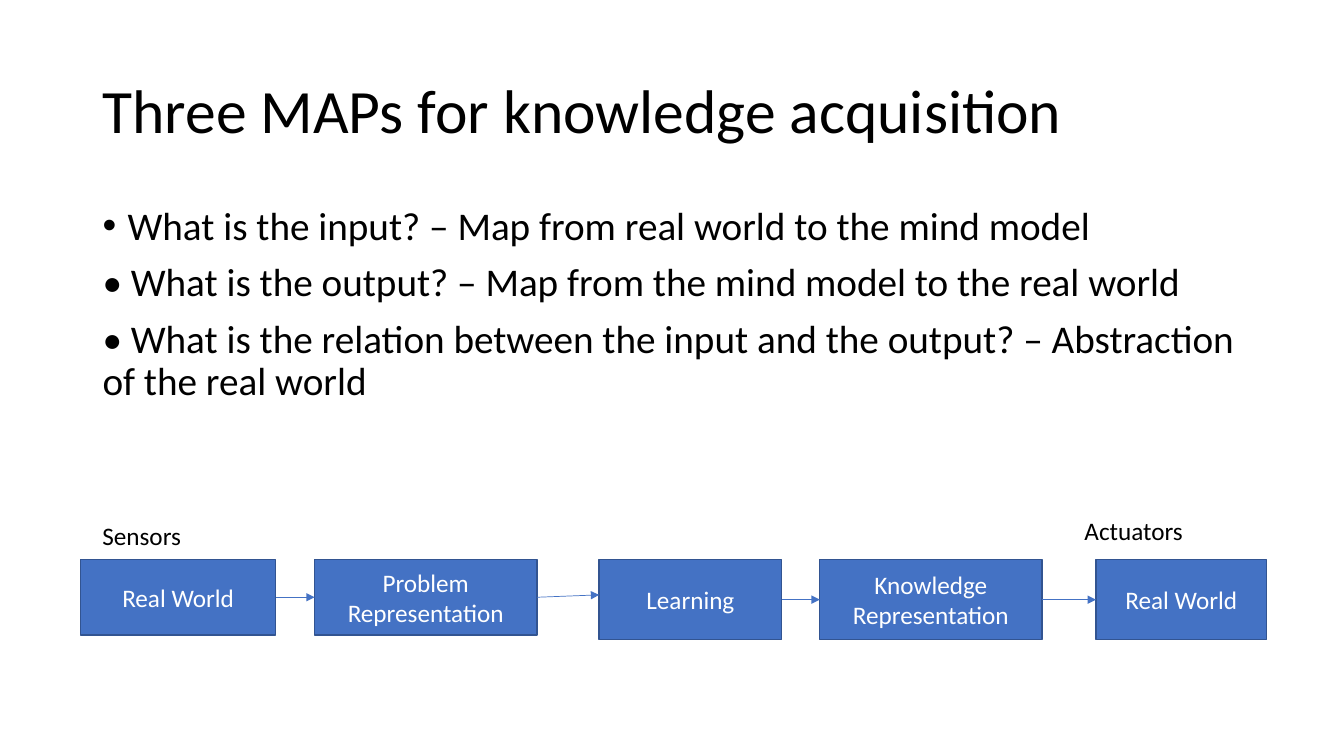
from dataclasses import dataclass
from itertools import pairwise

from lxml.etree import SubElement
from pptx import Presentation
from pptx.dml.color import RGBColor
from pptx.enum.shapes import MSO_CONNECTOR, MSO_SHAPE
from pptx.enum.text import MSO_ANCHOR, MSO_AUTO_SIZE, PP_ALIGN
from pptx.oxml.ns import qn
from pptx.util import Cm, Pt


@dataclass(frozen=True)
class Theme:
    font: str = "Calibri"
    ink: str = "000000"
    pale: str = "FFFFFF"
    fill: str = "4472C4"
    edge: str = "325491"
    head: int = 44
    body: int = 28
    note: int = 18


class Deck:
    def __init__(self, theme):
        self.theme = theme
        self.show = Presentation()
        self.show.slide_width = Cm(33.87)
        self.show.slide_height = Cm(19.05)
        self.slide = self.show.slides.add_slide(self.show.slide_layouts[1])
        self.shapes = self.slide.shapes

    def style(self, frame, size, color, align=PP_ALIGN.LEFT):
        frame.word_wrap = True
        for para in frame.paragraphs:
            para.alignment = align
            for run in para.runs:
                run.font.name = self.theme.font
                run.font.size = Pt(size)
                run.font.color.rgb = RGBColor.from_string(color)

    def place(self, shape, left, top, width, height):
        shape.left, shape.top = Cm(left), Cm(top)
        shape.width, shape.height = Cm(width), Cm(height)

    def title(self, text, *area):
        shape = self.shapes.title
        self.place(shape, *area)
        frame = shape.text_frame
        frame.text = text
        frame.auto_size = MSO_AUTO_SIZE.NONE
        frame.vertical_anchor = MSO_ANCHOR.MIDDLE
        frame.paragraphs[0].line_spacing = 0.9
        self.style(frame, self.theme.head, self.theme.ink)

    def list(self, lines, *area):
        shape = self.slide.placeholders[1]
        self.place(shape, *area)
        frame = shape.text_frame
        frame.text = "\n".join(lines)
        frame.auto_size = MSO_AUTO_SIZE.NONE
        self.style(frame, self.theme.body, self.theme.ink)
        for para in frame.paragraphs:
            para.line_spacing = 0.9
            para.space_before = Pt(10)
            self.bullet(para, not para.text.startswith("•"))

    def bullet(self, para, shown):
        props = para._p.get_or_add_pPr()
        hang = Cm(0.63) if shown else 0
        props.set("marL", str(hang))
        props.set("indent", str(-hang))
        if shown:
            SubElement(props, qn("a:buFont"), typeface="Arial")
            SubElement(props, qn("a:buChar"), char="•")
        else:
            SubElement(props, qn("a:buNone"))

    def box(self, text, left, top, width, height):
        area = map(Cm, (left, top, width, height))
        shape = self.shapes.add_shape(MSO_SHAPE.RECTANGLE, *area)
        shape.shadow.inherit = False
        shape.fill.solid()
        shape.fill.fore_color.rgb = RGBColor.from_string(self.theme.fill)
        shape.line.color.rgb = RGBColor.from_string(self.theme.edge)
        shape.line.width = Pt(1)
        frame = shape.text_frame
        frame.text = text
        frame.vertical_anchor = MSO_ANCHOR.MIDDLE
        self.style(frame, self.theme.note, self.theme.pale, PP_ALIGN.CENTER)
        return shape

    def label(self, text, left, top, width, height):
        area = map(Cm, (left, top, width, height))
        frame = self.shapes.add_textbox(*area).text_frame
        frame.text = text
        frame.auto_size = MSO_AUTO_SIZE.SHAPE_TO_FIT_TEXT
        self.style(frame, self.theme.note, self.theme.ink)

    def arrow(self, start, end):
        line = self.shapes.add_connector(
            MSO_CONNECTOR.STRAIGHT, 0, 0, end.left, Cm(14.99))
        line.begin_connect(start, 3)
        if start.height == end.height:
            line.end_connect(end, 1)
        line.line.color.rgb = RGBColor.from_string(self.theme.fill)
        line.line.width = Pt(0.5)
        SubElement(line.line._get_or_add_ln(), qn("a:tailEnd"), type="triangle")
        SubElement(line._element.spPr, qn("a:effectLst"))


def main():
    deck = Deck(Theme())
    deck.title("Three MAPs for knowledge acquisition", 2.33, 1.01, 29.21, 3.68)
    deck.list([
        "What is the input? – Map from real world to the mind model",
        "• What is the output? – Map from the mind model to the real world",
        "• What is the relation between the input and the output? – "
        "Abstraction of the real world",
    ], 2.33, 5.08, 29.21, 6.65)

    steps = [
        ("Real World", 2.03, 4.92, 1.9),
        ("Problem Representation", 7.93, 5.6, 1.9),
        ("Learning", 15.1, 4.6, 2.02),
        ("Knowledge Representation", 20.66, 5.6, 2.02),
        ("Real World", 27.62, 4.3, 2.02),
    ]
    boxes = [deck.box(text, left, 14.1, width, height)
             for text, left, width, height in steps]
    deck.label("Sensors", 2.33, 12.98, 4.27, 1.02)
    deck.label("Actuators", 27.08, 12.87, 4.27, 1.02)
    for start, end in pairwise(boxes):
        deck.arrow(start, end)
    deck.show.save("out.pptx")


if __name__ == "__main__":
    main()
